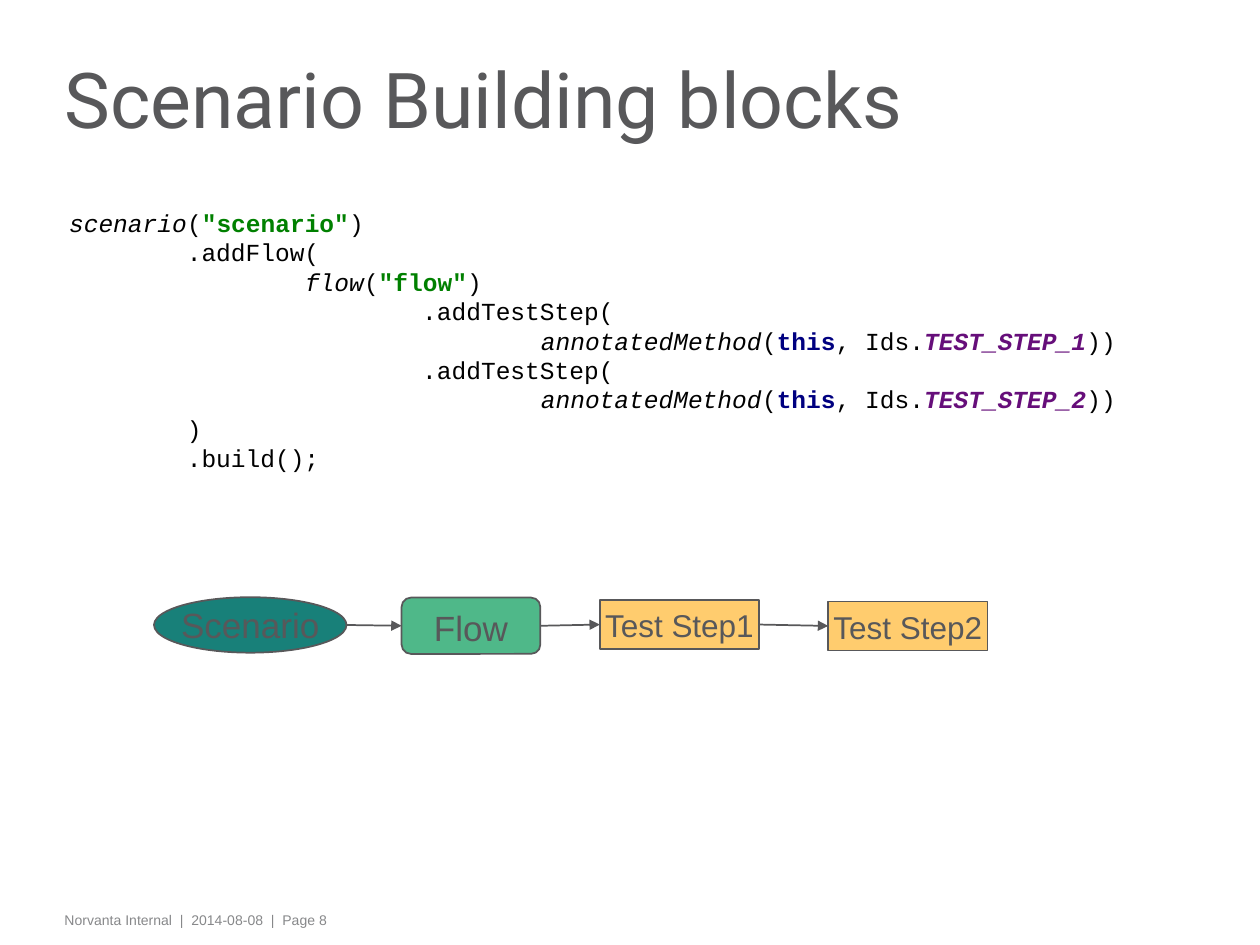
from lxml.etree import SubElement
from pptx import Presentation
from pptx.dml.color import RGBColor
from pptx.enum.shapes import MSO_CONNECTOR, MSO_SHAPE
from pptx.enum.text import MSO_ANCHOR, MSO_AUTO_SIZE, PP_ALIGN
from pptx.oxml.ns import qn
from pptx.util import Pt

COLORS = {
    "text": "58585A", "footer": "87888A", "paper": "FFFFFF",
    "scenario": "188079", "flow": "4FB889", "step": "FFCC6E",
    "code": "000000", "string": "008000", "keyword": "000080", "constant": "660E7A",
}

CODE_STYLES = {
    "plain": {"color": "code"},
    "call": {"color": "code", "italic": True},
    "string": {"color": "string", "bold": True},
    "keyword": {"color": "keyword", "bold": True},
    "constant": {"color": "constant", "bold": True, "italic": True},
}


def step_lines(constant):
    """Return the two code lines that add one test step."""
    return [
        [(" " * 24 + ".addTestStep(", "plain")],
        [(" " * 32, "plain"), ("annotatedMethod", "call"), ("(", "plain"),
         ("this", "keyword"), (", Ids.", "plain"), (constant, "constant"), ("))", "plain")],
    ]


CODE_LINES = [
    [("scenario", "call"), ("(", "plain"), ('"scenario"', "string"), (")", "plain")],
    [("        .addFlow(", "plain")],
    [(" " * 16, "plain"), ("flow", "call"), ("(", "plain"), ('"flow"', "string"), (")", "plain")],
    *step_lines("TEST_STEP_1"),
    *step_lines("TEST_STEP_2"),
    [("        )", "plain")],
    [("        .build();", "plain")],
]

NODES = [
    ("Scenario", MSO_SHAPE.OVAL, "scenario", 20, MSO_ANCHOR.MIDDLE, (88, 341.3, 110, 31.7)),
    ("Flow", MSO_SHAPE.FLOWCHART_ALTERNATE_PROCESS, "flow", 20, MSO_ANCHOR.TOP,
     (229.5, 341.5, 79.3, 32.2)),
    ("Test Step1", MSO_SHAPE.RECTANGLE, "step", 18, MSO_ANCHOR.TOP, (342.8, 342.9, 91, 28)),
    ("Test Step2", MSO_SHAPE.RECTANGLE, "step", 18, MSO_ANCHOR.TOP, (473.3, 343.7, 91, 28)),
]


def color_of(name):
    """Return the named colour."""
    return RGBColor.from_string(COLORS[name])


def add_span(para, text, font="Arial", size=18, color="text", bold=False, italic=False):
    """Append formatted text to a paragraph."""
    span = para.add_run()
    span.text = text
    span.font.name = font
    span.font.size = Pt(size)
    span.font.bold = bold
    span.font.italic = italic
    span.font.color.rgb = color_of(color)


def set_frame(box, anchor=MSO_ANCHOR.TOP, wrap=True, side=5.8, top=3.6, bottom=3.6):
    """Set the margins, anchor and wrapping of a box and return its text frame."""
    frame = box.text_frame
    frame.auto_size = MSO_AUTO_SIZE.NONE
    frame.word_wrap = wrap
    frame.vertical_anchor = anchor
    frame.margin_left = frame.margin_right = Pt(side)
    frame.margin_top, frame.margin_bottom = Pt(top), Pt(bottom)
    return frame


def add_title(page, text):
    """Place and fill the title placeholder."""
    title = page.shapes.title
    title.left, title.top, title.width, title.height = Pt(31), Pt(18.7), Pt(590.4), Pt(85.7)
    para = set_frame(title, MSO_ANCHOR.MIDDLE, top=0, bottom=0).paragraphs[0]
    para.alignment = PP_ALIGN.LEFT
    para.line_spacing = 0.75
    add_span(para, text, font="Roboto", size=44)


def add_code(page, lines):
    """Add the code listing, one paragraph a line."""
    box = page.shapes.add_shape(MSO_SHAPE.RECTANGLE, Pt(32.4), Pt(110.2), Pt(620.6), Pt(208))
    box.shadow.inherit = False
    box.fill.solid()
    box.fill.fore_color.rgb = color_of("paper")
    box.line.fill.background()
    frame = set_frame(box, side=7.2, top=8.6)
    for number, line in enumerate(lines):
        para = frame.add_paragraph() if number else frame.paragraphs[0]
        para.alignment = PP_ALIGN.LEFT
        para.line_spacing = Pt(16.8)
        for text, style in line:
            add_span(para, text, font="Courier New", size=14, **CODE_STYLES[style])


def add_node(page, text, kind, fill, size, anchor, bounds):
    """Add one labelled block of the flow diagram."""
    node = page.shapes.add_shape(kind, *map(Pt, bounds))
    node.shadow.inherit = False
    node.fill.solid()
    node.fill.fore_color.rgb = color_of(fill)
    node.line.color.rgb = color_of("text")
    node.line.width = Pt(1)
    para = set_frame(node, anchor, wrap=False).paragraphs[0]
    para.alignment = PP_ALIGN.CENTER
    add_span(para, text, size=size)
    return node


def add_arrow(page, source, target):
    """Join the facing sides of two blocks with an arrow."""
    arrow = page.shapes.add_connector(
        MSO_CONNECTOR.STRAIGHT,
        source.left + source.width, source.top + source.height // 2,
        target.left, target.top + target.height // 2)
    arrow.line.color.rgb = color_of("text")
    arrow.line.width = Pt(1)
    SubElement(arrow.line._get_or_add_ln(), qn("a:tailEnd"), type="triangle")
    SubElement(arrow._element.spPr, qn("a:effectLst"))


def add_footer(page, text):
    """Add the footer line."""
    box = page.shapes.add_textbox(Pt(31), Pt(514), Pt(582.5), Pt(17.3))
    para = set_frame(box).paragraphs[0]
    para.line_spacing = Pt(13)
    add_span(para, text, size=8, color="footer")


def main():
    """Build and save the slide."""
    deck = Presentation()
    deck.slide_width, deck.slide_height = Pt(720), Pt(540)
    page = deck.slides.add_slide(deck.slide_layouts[5])
    add_footer(page, "Norvanta Internal  |  2014-08-08  |  Page 8")
    add_title(page, "Scenario Building blocks")
    add_code(page, CODE_LINES)
    nodes = [add_node(page, *node) for node in NODES]
    for source, target in zip(nodes, nodes[1:]):
        add_arrow(page, source, target)
    deck.save("out.pptx")


if __name__ == "__main__":
    main()
